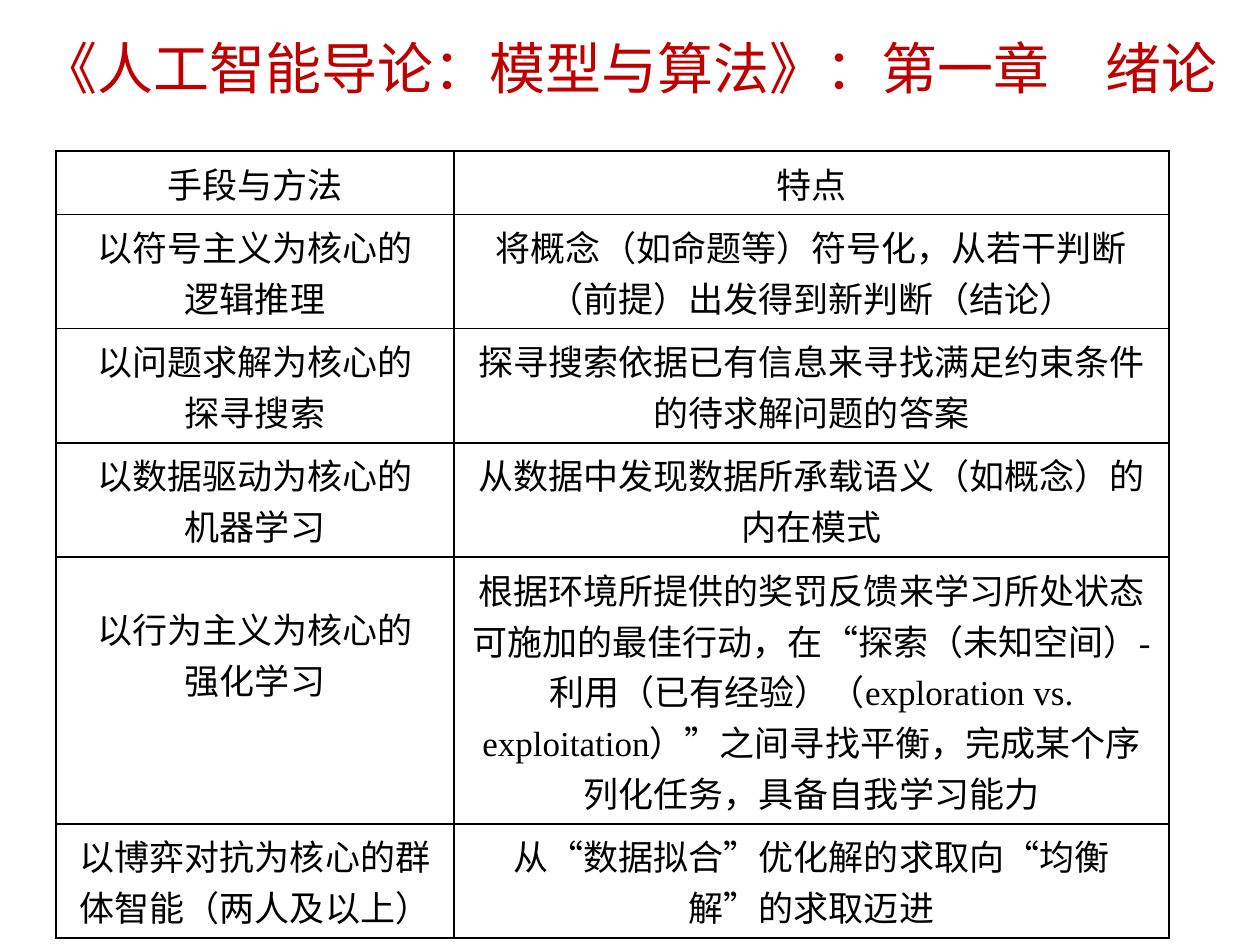
from pptx import Presentation
from pptx.dml.color import RGBColor
from pptx.enum.text import MSO_ANCHOR, MSO_AUTO_SIZE, PP_ALIGN
from pptx.oxml import parse_xml
from pptx.oxml.ns import nsdecls
from pptx.util import Emu, Pt

TITLE = "《人工智能导论：模型与算法》：第一章　绪论"
ROWS = [
    ("手段与方法", "特点"),
    ("以符号主义为核心的\n逻辑推理",
     "将概念（如命题等）符号化，从若干判断（前提）出发得到新判断（结论）"),
    ("以问题求解为核心的\n探寻搜索",
     "探寻搜索依据已有信息来寻找满足约束条件的待求解问题的答案"),
    ("以数据驱动为核心的\n机器学习",
     "从数据中发现数据所承载语义（如概念）的内在模式"),
    ("以行为主义为核心的\n强化学习",
     "根据环境所提供的奖罚反馈来学习所处状态可施加的最佳行动，"
     "在“探索（未知空间）-利用（已有经验）（exploration vs. exploitation）”"
     "之间寻找平衡，完成某个序列化任务，具备自我学习能力"),
    ("以博弈对抗为核心的群体智能（两人及以上）",
     "从“数据拟合”优化解的求取向“均衡解”的求取迈进"),
]
COL_WIDTHS = [398, 715]
ROW_HEIGHTS = [57, 100, 100, 100, 227, 100]
TABLE_LEFT, TABLE_TOP = 56, 151
LOWERED_CELL, LOWERED_MARGIN = (4, 0), 46
FONT = "Times New Roman"


def px(n):
    return Emu(round(n * 914400 / 126))


def color(value):
    return RGBColor.from_string(value)


def format_text(tf, size, rgb):
    for p in tf.paragraphs:
        p.alignment = PP_ALIGN.CENTER
        for r in p.runs:
            r.font.name = FONT
            r.font.size = Pt(size)
            r.font.bold = False
            r.font.color.rgb = color(rgb)


def add_borders(cell, rgb):
    tc_pr = cell._tc.get_or_add_tcPr()
    for i, side in enumerate(("lnL", "lnR", "lnT", "lnB")):
        tc_pr.insert(i, parse_xml(
            f'<a:{side} {nsdecls("a")} w="{Pt(1)}"><a:solidFill>'
            f'<a:srgbClr val="{rgb}"/></a:solidFill></a:{side}>'))


prs = Presentation()
prs.slide_width, prs.slide_height = px(1260), px(945)
s = prs.slides.add_slide(prs.slide_layouts[5])

title = s.shapes.title
title.left, title.top, title.width, title.height = px(0), px(19), px(1260), px(91)
tf = title.text_frame
tf.text = TITLE
tf.word_wrap = True
tf.auto_size = MSO_AUTO_SIZE.NONE
tf.vertical_anchor = MSO_ANCHOR.MIDDLE
tf.margin_top = px(20)
tf.paragraphs[0].line_spacing = 0.9
format_text(tf, 32, "C00000")

table = s.shapes.add_table(
    len(ROWS), len(COL_WIDTHS), px(TABLE_LEFT), px(TABLE_TOP),
    px(sum(COL_WIDTHS)), px(sum(ROW_HEIGHTS))).table
table.first_row = table.horz_banding = False
for col, width in zip(table.columns, COL_WIDTHS):
    col.width = px(width)
for i, (row, height) in enumerate(zip(ROWS, ROW_HEIGHTS)):
    table.rows[i].height = px(height)
    for j, text in enumerate(row):
        cell = table.cell(i, j)
        cell.text = text
        cell.fill.background()
        format_text(cell.text_frame, 20, "000000")
        add_borders(cell, "000000")
        if (i, j) == LOWERED_CELL:
            cell.margin_top = px(LOWERED_MARGIN)

prs.save("out.pptx")
